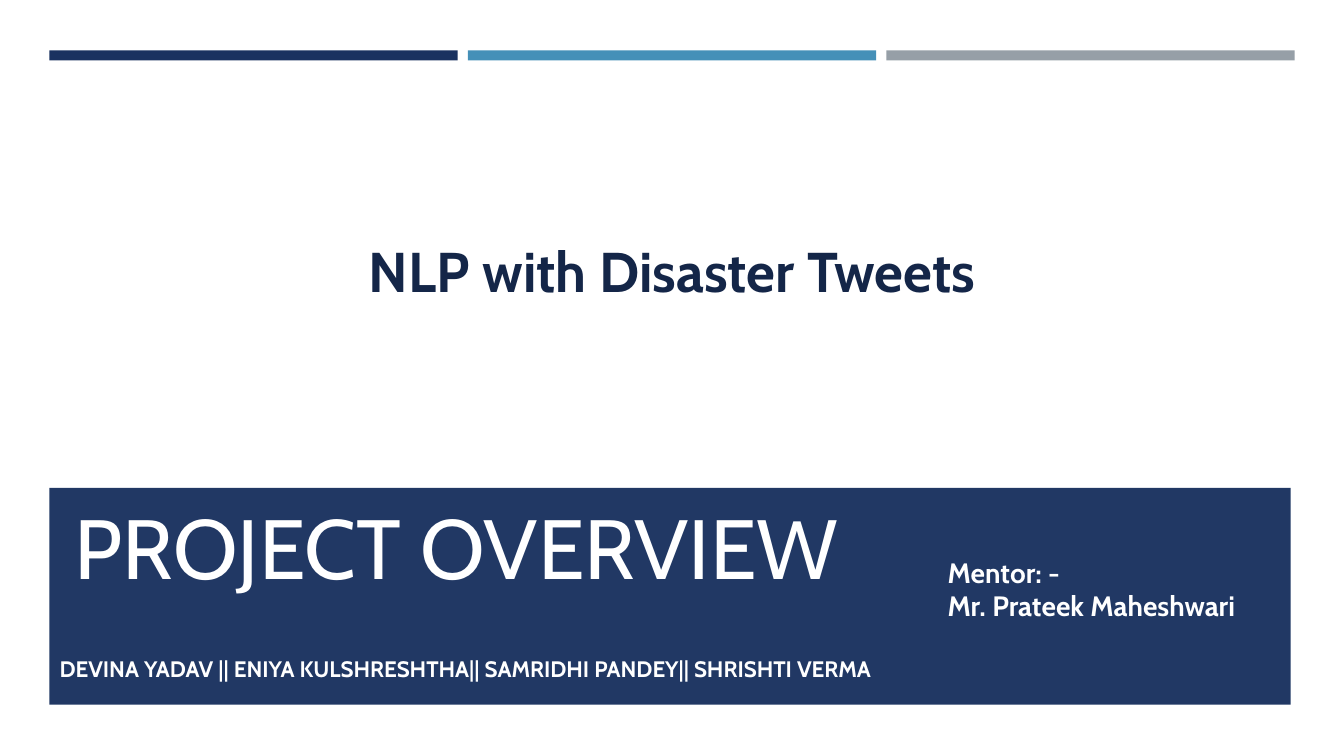
from lxml import etree
from pptx import Presentation
from pptx.dml.color import RGBColor
from pptx.enum.shapes import MSO_SHAPE
from pptx.enum.text import MSO_ANCHOR as Anchor, MSO_AUTO_SIZE as AutoSize, PP_ALIGN as Align
from pptx.oxml.ns import qn
from pptx.util import Inches, Pt

FONT = "Cabin"
COLORS = {"navy": "1A3260", "blue": "4590B8", "grey": "969FA7",
          "ink": "142648", "white": "FFFFFF"}

HEADING = "PROJECT OVERVIEW"
TEAM = "DEVINA YADAV || ENIYA KULSHRESHTHA|| SAMRIDHI PANDEY|| SHRISHTI VERMA"
MENTOR = ["Mentor: -", "Mr. Prateek Maheshwari"]
TOPIC = ["NLP with Disaster Tweets"]
STRIPES = ["navy", "blue", "grey"]

# Layout in inches: (left, top, width, height)
MARGIN = 0.49
STRIPE_TOP, STRIPE_WIDTH, STRIPE_HEIGHT, STRIPE_STEP = 0.5, 4.05, 0.1, 4.15
PANEL_BOX = (MARGIN, 4.84, 12.31, 2.15)
HEADING_BOX = (0.64, 5, 12.02, 0.98)
TEAM_BOX = (MARGIN, 6.45, 12.02, 0.53)
MENTOR_BOX = (9.3, 5.46, 4.11, 0.77)
TOPIC_BOX = (1.31, 2.3, 10.71, 1.45)


def add_bar(slide, box, color):
    bar = slide.shapes.add_shape(MSO_SHAPE.RECTANGLE, *map(Inches, box))
    bar.shadow.inherit = False
    bar.fill.solid()
    bar.fill.fore_color.rgb = RGBColor.from_string(COLORS[color])
    bar.line.fill.background()
    return bar


def write(frame, lines, size, color, bold=False, align=Align.LEFT, anchor=Anchor.TOP):
    frame.word_wrap = True
    frame.auto_size = AutoSize.NONE
    frame.vertical_anchor = anchor
    for i, line in enumerate(lines):
        paragraph = frame.add_paragraph() if i else frame.paragraphs[0]
        paragraph.alignment = align
        run = paragraph.add_run()
        run.text = line
        run.font.name = FONT
        run.font.size = Pt(size)
        run.font.bold = bold
        run.font.color.rgb = RGBColor.from_string(COLORS[color])


def place(shape, box):
    """Move a placeholder to its box and in front of the shapes drawn so far."""
    shape.left, shape.top, shape.width, shape.height = map(Inches, box)
    shape.element.getparent().append(shape.element)


def main():
    deck = Presentation()
    deck.slide_width, deck.slide_height = Inches(13.33), Inches(7.5)
    slide = deck.slides.add_slide(deck.slide_layouts[0])
    heading, team = slide.placeholders

    for i, color in enumerate(STRIPES):
        add_bar(slide, (MARGIN + i * STRIPE_STEP, STRIPE_TOP, STRIPE_WIDTH, STRIPE_HEIGHT), color)

    panel = add_bar(slide, PANEL_BOX, "navy")
    panel_color = panel.element.spPr.find(qn("a:solidFill"))[0]
    etree.SubElement(panel_color, qn("a:alpha")).set("val", "97000")

    place(heading, HEADING_BOX)
    write(heading.text_frame, [HEADING], 60, "white", anchor=Anchor.BOTTOM)
    heading.text_frame.paragraphs[0].line_spacing = 0.9

    place(team, TEAM_BOX)
    write(team.text_frame, [TEAM], 16, "white", bold=True)
    team.text_frame.paragraphs[0].space_after = Pt(6)

    mentor = slide.shapes.add_textbox(*map(Inches, MENTOR_BOX))
    write(mentor.text_frame, MENTOR, 20, "white", bold=True)

    topic = slide.shapes.add_textbox(*map(Inches, TOPIC_BOX))
    write(topic.text_frame, TOPIC, 40, "ink", bold=True, align=Align.CENTER)

    deck.save("out.pptx")


if __name__ == "__main__":
    main()
